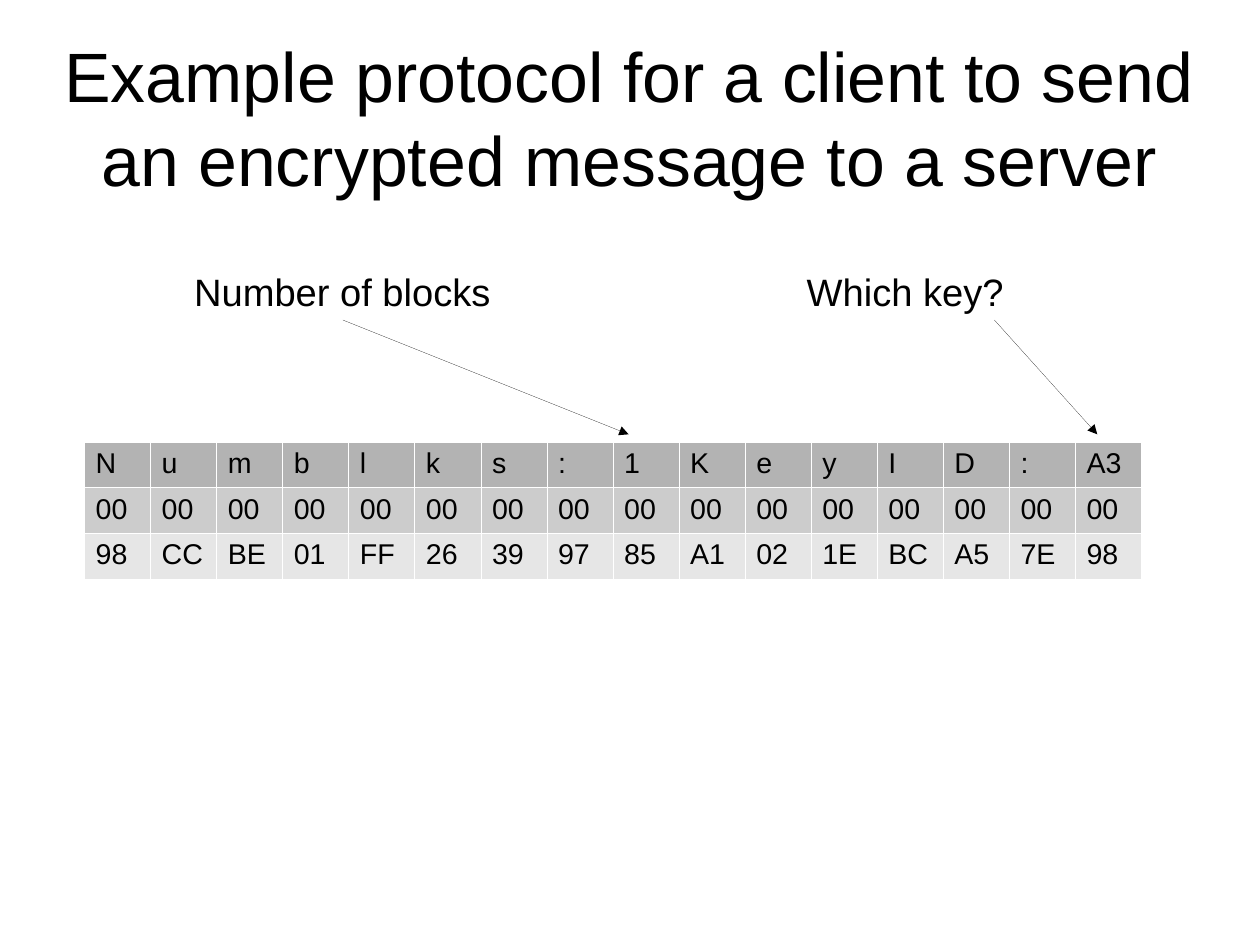
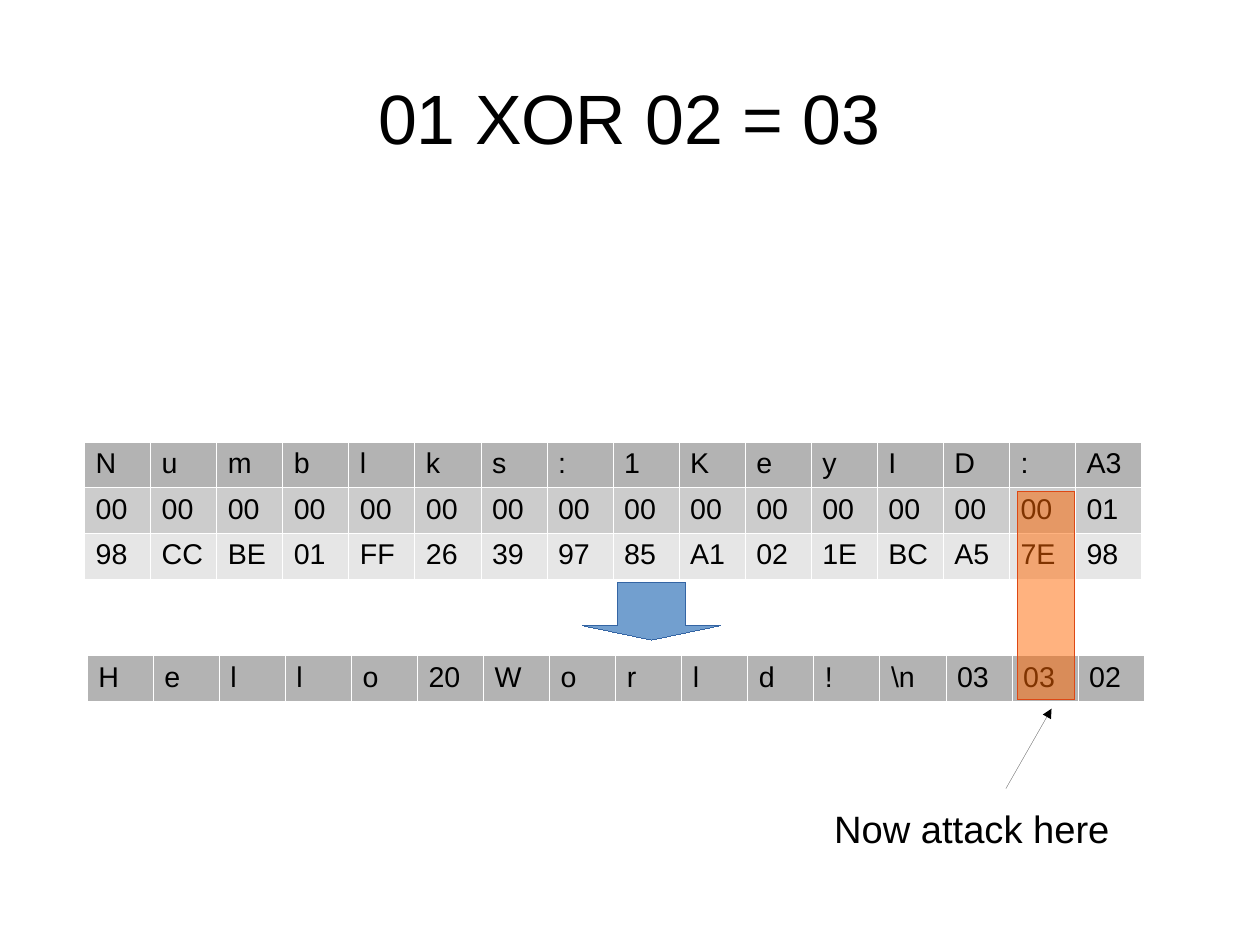
"""Build two slides on the blocks of an encrypted message and an attack on its padding."""
from dataclasses import dataclass

from lxml.etree import SubElement
from pptx import Presentation
from pptx.dml.color import RGBColor
from pptx.enum.shapes import MSO_CONNECTOR, MSO_SHAPE
from pptx.enum.text import MSO_ANCHOR, PP_ALIGN
from pptx.oxml.ns import qn
from pptx.slide import Slide
from pptx.util import Cm, Inches, Length, Pt

COLOURS = {
    "text": "000000",
    "border": "FFFFFF",
    "step": "729FCF",
    "step edge": "3465A4",
    "target": "FF6600",
    "target edge": "DD4814",
}
ROW_SHADES = ("B3B3B3", "CCCCCC", "E6E6E6")
FONT = "Arial"
GRID = 0.1
BYTE_WIDTH = 5.78
BYTE_HEIGHT = 3.8

HEADER = "N u m b l k s : 1 K e y I D : A3".split()
ZEROS = ["00"] * 16
CIPHER = "98 CC BE 01 FF 26 39 97 85 A1 02 1E BC A5 7E 98".split()
PLAIN = r"H e l l o 20 W o r l d ! \n 03 03 02".split()


@dataclass(frozen=True)
class Area:
    """A rectangle in grid columns and rows."""
    col: float
    row: float
    cols: float
    rows: float

    def lengths(self) -> tuple[Length, ...]:
        """Return left, top, width and height."""
        return tuple(map(grid, (self.col, self.row, self.cols, self.rows)))


@dataclass(frozen=True)
class Label:
    """A caption and its place."""
    text: str
    area: Area


@dataclass(frozen=True)
class Pointer:
    """An arrow between two grid points."""
    start: tuple[float, float]
    end: tuple[float, float]


@dataclass(frozen=True)
class Block:
    """Rows of bytes and the grid point where they begin."""
    col: float
    row: float
    lines: list[list[str]]


@dataclass(frozen=True)
class Mark:
    """A filled shape over or between the blocks."""
    kind: MSO_SHAPE
    area: Area
    colour: str
    opacity: int = 100
    adjustments: tuple[float, ...] = ()


@dataclass(frozen=True)
class Page:
    """Everything that one slide shows."""
    title: str
    blocks: list[Block]
    labels: list[Label]
    pointers: list[Pointer]
    marks: tuple[Mark, ...] = ()


TITLE_AREA = Area(5.5, 3.3, 99.2, 13.8)
PAGES = [
    Page(
        "Example protocol for a client to send an encrypted message to a server",
        [Block(7.37, 38.65, [HEADER, ZEROS, CIPHER])],
        [Label("Number of blocks", Area(16, 23, 30, 4.7)),
         Label("Which key?", Area(69.6, 23, 28, 4.7))],
        [Pointer((30, 28), (55, 38)), Pointer((87, 28), (96, 38))],
    ),
    Page(
        "01 XOR 02 = 03",
        [Block(7.37, 38.65, [HEADER, ZEROS[:-1] + ["01"], CIPHER]),
         Block(7.6, 57.35, [PLAIN])],
        [Label("Now attack here", Area(72, 70, 27, 4.7))],
        [Pointer((88, 69), (92, 62))],
        (Mark(MSO_SHAPE.DOWN_ARROW, Area(51, 51, 12, 5), "step", adjustments=(0.5, 0.25)),
         Mark(MSO_SHAPE.RECTANGLE, Area(89, 43, 5, 18.2), "target", opacity=50)),
    ),
]


def grid(units: float) -> Length:
    """Turn grid units into a length."""
    return Inches(units * GRID)


def rgb(name: str) -> RGBColor:
    """Look up a named colour."""
    return RGBColor.from_string(COLOURS[name])


def write(frame, text: str, *, size: float, align: PP_ALIGN = PP_ALIGN.LEFT) -> None:
    """Put formatted text into a text frame."""
    paragraph = frame.paragraphs[0]
    paragraph.alignment = align
    run = paragraph.add_run()
    run.text = text
    run.font.name, run.font.size = FONT, Pt(size)
    run.font.color.rgb = rgb("text")


def draw_title(slide: Slide, text: str) -> None:
    """Draw the centred slide title."""
    frame = slide.shapes.add_textbox(*TITLE_AREA.lengths()).text_frame
    frame.word_wrap = True
    frame.vertical_anchor = MSO_ANCHOR.MIDDLE
    frame.margin_left = frame.margin_right = frame.margin_top = frame.margin_bottom = 0
    write(frame, text, size=44, align=PP_ALIGN.CENTER)


def draw_label(slide: Slide, label: Label) -> None:
    """Draw a caption."""
    frame = slide.shapes.add_textbox(*label.area.lengths()).text_frame
    frame.word_wrap = True
    write(frame, label.text, size=24)


def add_borders(cell) -> None:
    """Give a table cell thin borders on all sides."""
    properties = cell._tc.get_or_add_tcPr()
    for side in ("a:lnL", "a:lnR", "a:lnT", "a:lnB"):
        line = SubElement(properties, qn(side), w=str(int(Pt(0.06))))
        fill = SubElement(line, qn("a:solidFill"))
        SubElement(fill, qn("a:srgbClr"), val=COLOURS["border"])


def draw_block(slide: Slide, block: Block) -> None:
    """Draw rows of bytes as a table."""
    rows, cols = len(block.lines), len(block.lines[0])
    area = Area(block.col, block.row, cols * BYTE_WIDTH, rows * BYTE_HEIGHT)
    table = slide.shapes.add_table(rows, cols, *area.lengths()).table
    table.first_row = table.horz_banding = False
    for row, (line, shade) in enumerate(zip(block.lines, ROW_SHADES)):
        for col, byte in enumerate(line):
            cell = table.cell(row, col)
            add_borders(cell)
            cell.fill.solid()
            cell.fill.fore_color.rgb = RGBColor.from_string(shade)
            write(cell.text_frame, byte, size=18)


def set_hairline(line, colour: str) -> None:
    """Make a line as thin as it can be drawn."""
    line.color.rgb = rgb(colour)
    line._get_or_add_ln().set("w", "0")


def draw_mark(slide: Slide, mark: Mark) -> None:
    """Draw a filled shape with a hairline edge."""
    shape = slide.shapes.add_shape(mark.kind, *mark.area.lengths())
    shape.shadow.inherit = False
    for index, value in enumerate(mark.adjustments):
        shape.adjustments[index] = value
    shape.fill.solid()
    shape.fill.fore_color.rgb = rgb(mark.colour)
    if mark.opacity < 100:
        colour = shape._element.spPr.find(qn("a:solidFill"))[0]
        SubElement(colour, qn("a:alpha"), val=str(mark.opacity * 1000))
    set_hairline(shape.line, f"{mark.colour} edge")


def draw_pointer(slide: Slide, pointer: Pointer) -> None:
    """Draw a hairline arrow."""
    ends = map(grid, pointer.start + pointer.end)
    arrow = slide.shapes.add_connector(MSO_CONNECTOR.STRAIGHT, *ends)
    set_hairline(arrow.line, "text")
    SubElement(arrow.line._get_or_add_ln(), qn("a:tailEnd"), type="triangle")
    SubElement(arrow._element.spPr, qn("a:effectLst"))


def draw_page(slide: Slide, page: Page) -> None:
    """Draw all parts of one slide."""
    draw_title(slide, page.title)
    for block in page.blocks:
        draw_block(slide, block)
    for mark in page.marks:
        draw_mark(slide, mark)
    for label in page.labels:
        draw_label(slide, label)
    for pointer in page.pointers:
        draw_pointer(slide, pointer)


def main() -> None:
    """Build and save the presentation."""
    deck = Presentation()
    deck.slide_width, deck.slide_height = Cm(28), Cm(21)
    blank = deck.slide_layouts[6]
    for page in PAGES:
        draw_page(deck.slides.add_slide(blank), page)
    deck.save("out.pptx")


if __name__ == "__main__":
    main()
